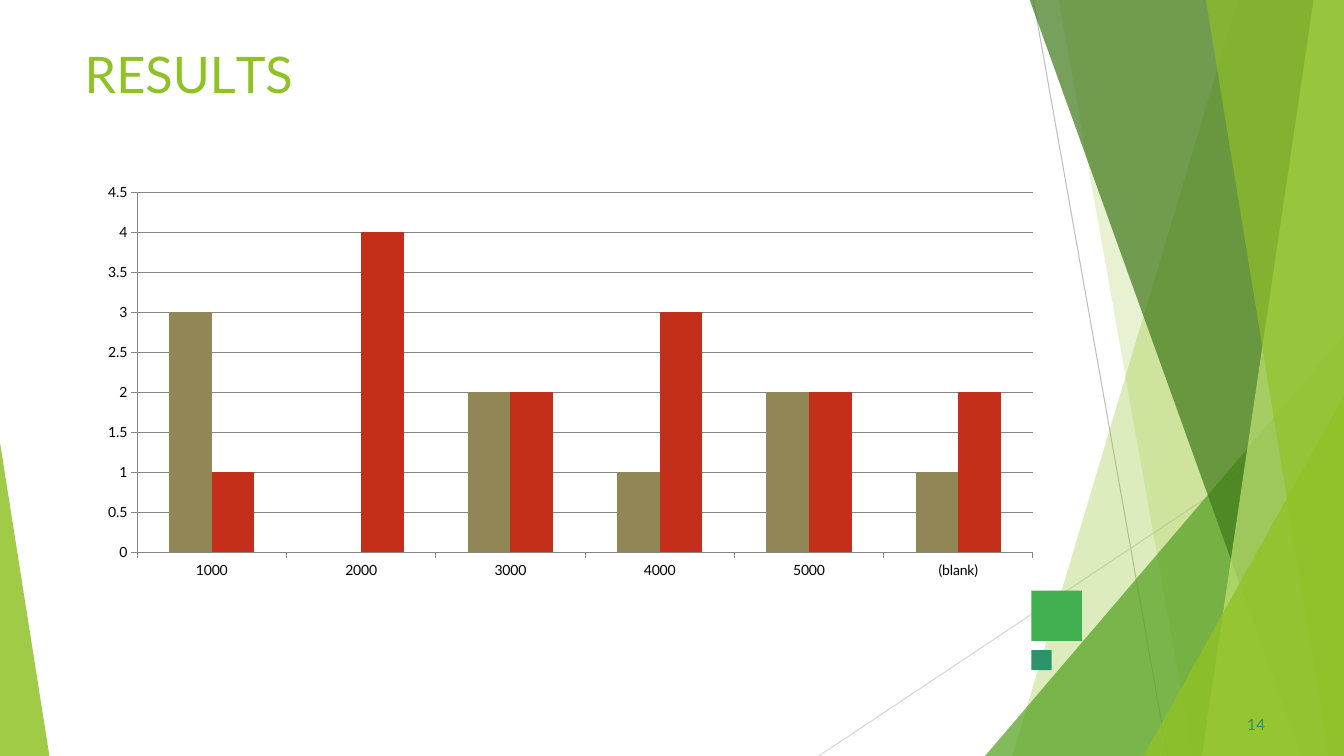
from dataclasses import dataclass

from lxml import etree
from pptx import Presentation
from pptx.chart.data import CategoryChartData
from pptx.dml.color import RGBColor
from pptx.enum import chart as charts, shapes, text
from pptx.oxml.ns import qn
from pptx.util import Inches, Pt


@dataclass(frozen=True)
class Theme:
    font: str = "Lato"
    lime: str = "90C226"
    pale_lime: str = "C0E474"
    green: str = "54A021"
    dark_green: str = "3F7819"
    bright_green: str = "42AF51"
    teal: str = "2D936B"
    olive: str = "918655"
    red: str = "C42F1A"
    axis: str = "868686"
    black: str = "000000"
    title_size: float = 36
    number_size: float = 11
    chart_size: float = 10


THEME = Theme()
WIDTH, HEIGHT = 13.33, 7.5
BLEED_TOP = -0.01

# Letters with their character spacing in points
TITLE = [("R", 0), ("E", -0.4), ("S", 0.1), ("U", -0.3), ("L", -4), ("TS", 0)]
PAGE_NUMBER = [("14", 0.1)]

CATEGORIES = ["1000", "2000", "3000", "4000", "5000", "(blank)"]
SERIES = [
    ("Series 1", [3, None, 2, 1, 2, 1], THEME.olive),
    ("Series 2", [1, 4, 2, 3, 2, 2], THEME.red),
]
CHART_BOX = (0.35, -1.61, 13.3, 8.69)
PLOT = {"x": 0.076, "y": 0.405, "w": 0.668, "h": 0.411}

RAYS = [  # start, end, colour
    ((10.25, 0), (11.58, HEIGHT), "BFBFBF"),
    ((WIDTH, 4.03), (8.12, HEIGHT), "D9D9D9"),
]
# Back to front. A band gives the x of its left edge at top and bottom;
# a triangle gives left, top, width and apex position.
FACETS = [
    ("band", (12.28, 10.04), THEME.lime, 30),
    ("band", (10.5, 11.83), THEME.lime, 20),
    ("triangle", (9.77, 3.33, 3.56, 1), THEME.green, 72),
    ("band", (10.21, 12.91), THEME.dark_green, 70),
    ("band", (13.03, 11.92), THEME.pale_lime, 70),
    ("band", (11.96, 13.18), THEME.lime, 65),
    ("triangle", (11.34, 3.93, 1.99, 1), THEME.lime, 80),
    ("triangle", (0, 4.39, 0.49, 0), THEME.lime, 85),
]
SQUARES = [  # left, top, side, colour
    (10.23, 5.86, 0.5, THEME.bright_green),
    (10.23, 6.45, 0.2, THEME.teal),
]


def inches(*lengths):
    return [Inches(length) for length in lengths]


def color(value):
    return RGBColor.from_string(value)


def paint(shape, fill, opacity=100):
    shape.shadow.inherit = False
    shape.line.fill.background()
    shape.fill.solid()
    shape.fill.fore_color.rgb = color(fill)
    if opacity < 100:
        tint = shape.fill._xPr.find(".//" + qn("a:srgbClr"))
        etree.SubElement(tint, qn("a:alpha"), val=str(opacity * 1000))


def add_ray(slide, start, end, stroke):
    line = slide.shapes.add_connector(
        shapes.MSO_CONNECTOR.STRAIGHT, *inches(*start, *end))
    line.line.color.rgb = color(stroke)
    line.line.width = Pt(0.75)
    etree.SubElement(line._element.spPr, qn("a:effectLst"))


def add_band(slide, top_x, bottom_x):
    """Add a facet that runs from its slanted left edge to the slide's right edge."""
    builder = slide.shapes.build_freeform(*inches(top_x, BLEED_TOP))
    corners = [(WIDTH, BLEED_TOP), (WIDTH, HEIGHT), (bottom_x, HEIGHT)]
    builder.add_line_segments([inches(*corner) for corner in corners], close=True)
    return builder.convert_to_shape()


def add_triangle(slide, left, top, width, apex):
    """Add a triangle that stands on the slide's bottom edge."""
    triangle = slide.shapes.add_shape(
        shapes.MSO_SHAPE.ISOSCELES_TRIANGLE,
        *inches(left, top, width, HEIGHT - top))
    triangle.adjustments[0] = apex
    return triangle


def write(shape, runs, *, size, fill, indent=0, space_before=0):
    frame = shape.text_frame
    frame.word_wrap = True
    frame.auto_size = text.MSO_AUTO_SIZE.SHAPE_TO_FIT_TEXT
    frame.vertical_anchor = text.MSO_ANCHOR.TOP
    frame.margin_left = frame.margin_right = frame.margin_bottom = 0
    frame.margin_top = Inches(0.01)
    paragraph = frame.paragraphs[0]
    paragraph.alignment = text.PP_ALIGN.LEFT
    paragraph.space_before = Pt(space_before)
    properties = paragraph._p.get_or_add_pPr()
    properties.set("marL", str(Inches(indent)))
    properties.set("indent", "0")
    for letters, spacing in runs:
        run = paragraph.add_run()
        run.text = letters
        run.font.name = THEME.font
        run.font.size = Pt(size)
        run.font.color.rgb = color(fill)
        run.font._element.set("spc", str(round(spacing * 100)))


def fix_plot_area(chart):
    """Pin the inner plot area to its fractions of the chart frame."""
    plot_area = chart._chartSpace.chart.plotArea
    layout = plot_area.find(qn("c:layout"))
    if layout is None:
        layout = etree.Element(qn("c:layout"))
        plot_area.insert(0, layout)
    manual = etree.SubElement(layout, qn("c:manualLayout"))
    settings = {"layoutTarget": "inner", "xMode": "edge", "yMode": "edge", **PLOT}
    for name, value in settings.items():
        etree.SubElement(manual, qn("c:" + name), val=str(value))


def add_results_chart(slide):
    data = CategoryChartData()
    data.categories = CATEGORIES
    for name, values, _ in SERIES:
        data.add_series(name, values)
    chart = slide.shapes.add_chart(
        charts.XL_CHART_TYPE.COLUMN_CLUSTERED, *inches(*CHART_BOX), data).chart
    chart.has_legend = chart.has_title = False
    chart.font.name = THEME.font
    chart.font.size = Pt(THEME.chart_size)
    chart.font.color.rgb = color(THEME.black)

    plot = chart.plots[0]
    plot.vary_by_categories = False
    plot.gap_width = 150
    plot.overlap = 0
    for series, (_, _, fill) in zip(plot.series, SERIES):
        series.invert_if_negative = False
        series.format.fill.solid()
        series.format.fill.fore_color.rgb = color(fill)

    values = chart.value_axis
    values.minimum_scale, values.maximum_scale, values.major_unit = 0, 4.5, 0.5
    values.has_major_gridlines = True
    values.tick_labels.number_format = "General"
    values.tick_labels.number_format_is_linked = False
    for axis in (chart.category_axis, values):
        axis.major_tick_mark = charts.XL_TICK_MARK.OUTSIDE
    for part in (chart.category_axis, values, values.major_gridlines):
        part.format.line.color.rgb = color(THEME.axis)
        part.format.line.width = Pt(0.75)
    fix_plot_area(chart)


def main():
    presentation = Presentation()
    presentation.slide_width, presentation.slide_height = inches(WIDTH, HEIGHT)
    slide = presentation.slides.add_slide(presentation.slide_layouts[5])

    for ray in RAYS:
        add_ray(slide, *ray)
    add_facet = {"band": add_band, "triangle": add_triangle}
    for kind, geometry, fill, opacity in FACETS:
        paint(add_facet[kind](slide, *geometry), fill, opacity)
    for left, top, side, fill in SQUARES:
        square = slide.shapes.add_shape(
            shapes.MSO_SHAPE.RECTANGLE, *inches(left, top, side, side))
        paint(square, fill)

    title = slide.shapes.title
    title.left, title.top, title.width, title.height = inches(0.83, 0.42, 2.67, 0.68)
    write(title, TITLE, size=THEME.title_size, fill=THEME.lime,
          indent=0.01, space_before=1.1)
    number = slide.shapes.add_textbox(*inches(12.33, 7.08, 0.25, 0.21))
    write(number, PAGE_NUMBER, size=THEME.number_size, fill=THEME.teal,
          indent=0.04, space_before=0.6)
    add_results_chart(slide)
    presentation.save("out.pptx")


if __name__ == "__main__":
    main()
